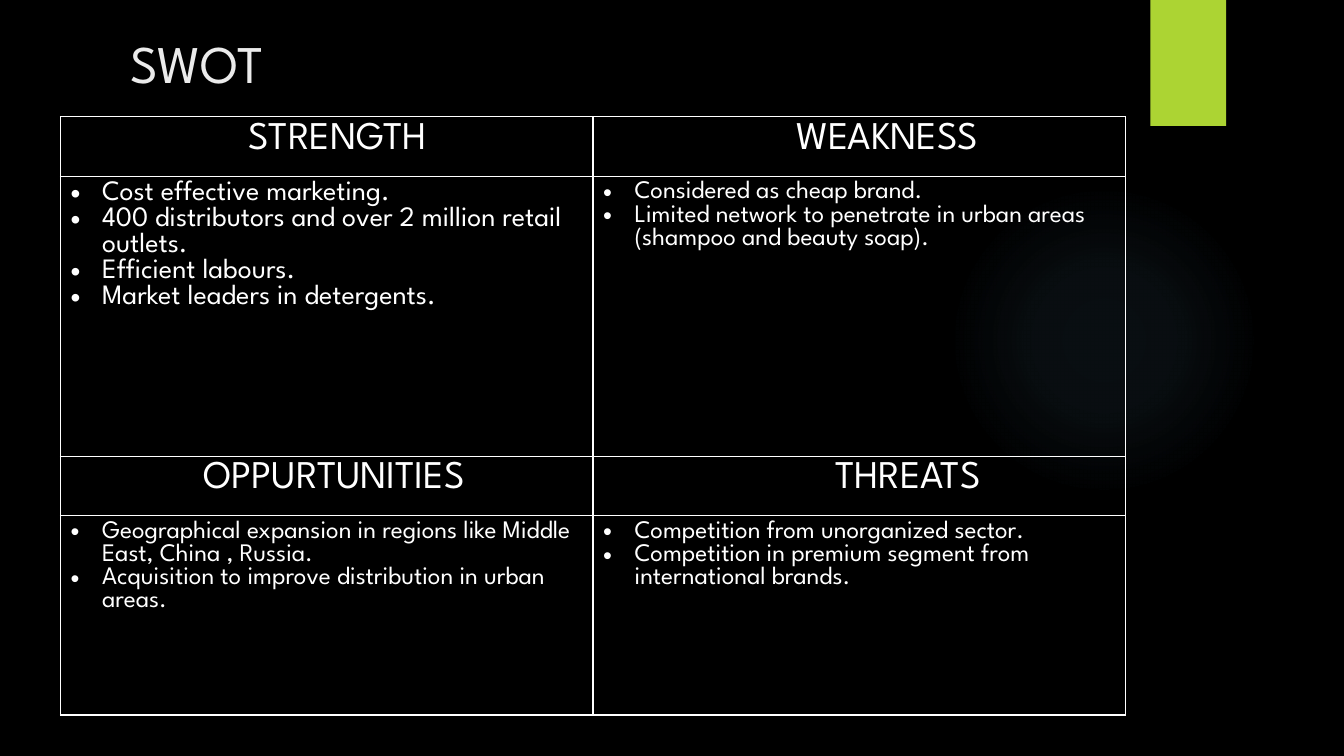
"""Build a SWOT slide with a four-part table."""
from pptx import Presentation
from pptx.dml.color import RGBColor
from pptx.enum.shapes import MSO_SHAPE
from pptx.enum.text import MSO_ANCHOR, PP_ALIGN
from pptx.oxml import parse_xml
from pptx.oxml.ns import nsdecls
from pptx.util import Pt

BLACK = RGBColor(0, 0, 0)
WHITE = RGBColor(255, 255, 255)
TITLE_GREY = RGBColor(0xEB, 0xEB, 0xEB)
LIME = RGBColor(0xAC, 0xD4, 0x33)
GLOW_BLUE = RGBColor(0x7A, 0xC4, 0xF0)
GLOW_STOPS = [(0, 7), (36, 6), (69, 0)]

ROW_HEIGHTS = [42.5, 200, 42.5, 142.5]
COLUMN_WIDTH = 380.4
HEADING_SIZE = 28
BULLET_INDENT = 22.5

QUADRANTS = [
    [
        ("STRENGTH", 127, 20, [
            "Cost effective marketing.",
            "400 distributors and over 2 million retail outlets.",
            "Efficient labours.",
            "Market leaders in detergents.",
        ]),
        ("WEAKNESS", 138, 18, [
            "Considered as cheap brand.",
            "Limited network to penetrate in urban areas (shampoo and beauty soap).",
        ]),
    ],
    [
        ("OPPURTUNITIES", 95, 18, [
            "Geographical expansion in regions like Middle East, China , Russia.",
            "Acquisition to improve distribution in urban areas.",
        ]),
        ("THREATS", 166, 18, [
            "Competition from unorganized sector.",
            "Competition in premium segment from international brands.",
        ]),
    ],
]


class SlideBuilder:
    """Hold the style and the current slide."""

    font_name = "League Spartan"

    def __init__(self, presentation):
        self.slide = presentation.slides.add_slide(presentation.slide_layouts[5])
        background = self.slide.background.fill
        background.solid()
        background.fore_color.rgb = BLACK

    def add_run(self, paragraph, text, size, color=WHITE):
        run = paragraph.add_run()
        run.text = text
        run.font.name = self.font_name
        run.font.size = Pt(size)
        run.font.color.rgb = color

    def add_shape(self, kind, left, top, width, height, color):
        shape = self.slide.shapes.add_shape(kind, Pt(left), Pt(top), Pt(width), Pt(height))
        shape.shadow.inherit = False
        shape.line.fill.background()
        shape.fill.solid()
        shape.fill.fore_color.rgb = color
        return shape

    def add_glow(self, left, top, diameter):
        shape = self.add_shape(MSO_SHAPE.OVAL, left, top, diameter, diameter, GLOW_BLUE)
        stops = "".join(
            f'<a:gs pos="{position * 1000}"><a:srgbClr val="{GLOW_BLUE}">'
            f'<a:alpha val="{opacity * 1000}"/></a:srgbClr></a:gs>'
            for position, opacity in GLOW_STOPS
        )
        gradient = parse_xml(
            f'<a:gradFill {nsdecls("a")} rotWithShape="1"><a:gsLst>{stops}</a:gsLst>'
            '<a:path path="circle"><a:fillToRect l="50000" t="50000" r="50000" b="50000"/>'
            "</a:path></a:gradFill>"
        )
        properties = shape.element.spPr
        properties.replace(properties.find(".//{*}solidFill"), gradient)

    def add_title(self, text, left, top, width, height):
        title = self.slide.shapes.title
        title.left, title.top, title.width, title.height = map(Pt, (left, top, width, height))
        frame = title.text_frame
        frame.word_wrap = True
        frame.vertical_anchor = MSO_ANCHOR.BOTTOM
        paragraph = frame.paragraphs[0]
        paragraph.alignment = PP_ALIGN.LEFT
        self.add_run(paragraph, text, 37.8, TITLE_GREY)

    def add_table(self, left, top):
        frame = self.slide.shapes.add_table(
            len(ROW_HEIGHTS), 2, Pt(left), Pt(top), Pt(2 * COLUMN_WIDTH), Pt(sum(ROW_HEIGHTS))
        )
        table = frame.table
        table.first_row = table.horz_banding = False
        for column in table.columns:
            column.width = Pt(COLUMN_WIDTH)
        for row, height in zip(table.rows, ROW_HEIGHTS):
            row.height = Pt(height)
        for cell in table.iter_cells():
            self.format_cell(cell)
        for band, quadrants in enumerate(QUADRANTS):
            for column, (heading, indent, size, points) in enumerate(quadrants):
                self.fill_heading(table.cell(2 * band, column), heading, indent)
                self.fill_bullets(table.cell(2 * band + 1, column), points, size)

    def format_cell(self, cell):
        properties = cell._tc.get_or_add_tcPr()
        for side in "LRTB":
            properties.append(parse_xml(
                f'<a:ln{side} {nsdecls("a")} w="{Pt(1)}"><a:solidFill>'
                f'<a:srgbClr val="{WHITE}"/></a:solidFill></a:ln{side}>'
            ))
        cell.fill.background()

    def fill_heading(self, cell, text, indent):
        paragraph = cell.text_frame.paragraphs[0]
        paragraph._p.get_or_add_pPr().set("marL", str(Pt(indent)))
        self.add_run(paragraph, text, HEADING_SIZE)

    def fill_bullets(self, cell, points, size):
        frame = cell.text_frame
        for index, point in enumerate(points):
            paragraph = frame.add_paragraph() if index else frame.paragraphs[0]
            properties = paragraph._p.get_or_add_pPr()
            properties.set("marL", str(Pt(BULLET_INDENT)))
            properties.set("indent", str(-Pt(BULLET_INDENT)))
            properties.append(parse_xml(f'<a:buFont {nsdecls("a")} typeface="Arial"/>'))
            properties.append(parse_xml(f'<a:buChar {nsdecls("a")} char="•"/>'))
            self.add_run(paragraph, point, size)


presentation = Presentation()
presentation.slide_width = Pt(960)
presentation.slide_height = Pt(540)
builder = SlideBuilder(presentation)
builder.add_glow(677.5, 131.8, 221.8)
builder.add_shape(MSO_SHAPE.RECTANGLE, 821.8, 0, 54, 90, LIME)
builder.add_title("SWOT", 85.7, 17.3, 146, 53.3)
builder.add_table(43.2, 83.3)
presentation.save("out.pptx")
